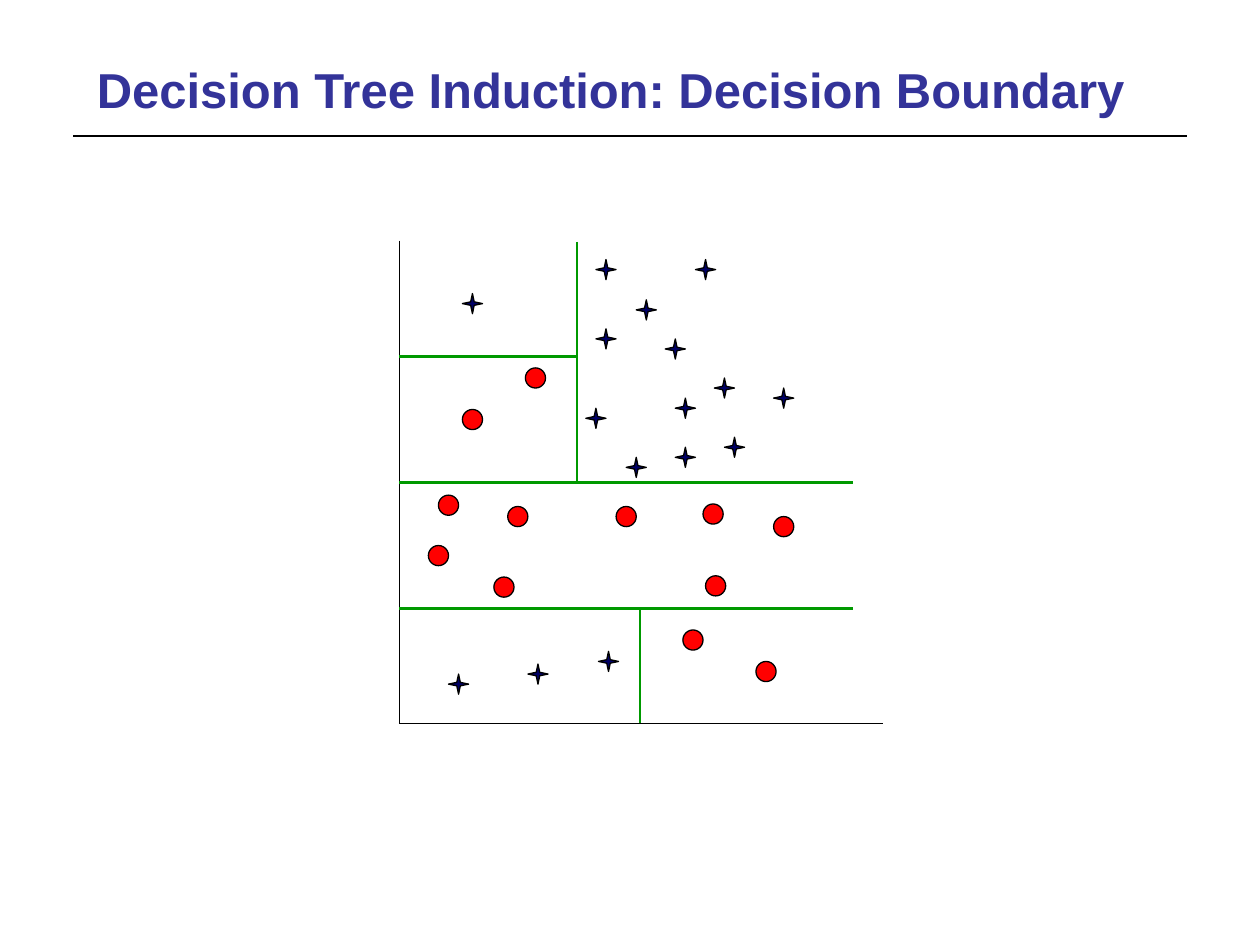
import pptx
import pptx.dml.color
import pptx.enum.shapes
import pptx.enum.text
import pptx.oxml.ns
import pptx.util
from lxml import etree
from pptx.util import Inches

COLORS = {
    "title": "333399",
    "black": "000000",
    "star": "000066",
    "circle": "FF0000",
    "boundary": "009900",
}
SHAPES = pptx.enum.shapes.MSO_SHAPE
MARKER_SIZE = 0.16

# Edges of the plot and of the regions
LEFT, RIGHT = 3.17, 6.77
TOP, BOTTOM = 1.92, 5.74
ROWS = (2.83, 3.83, 4.83)
UPPER_SPLIT, LOWER_SPLIT = 4.58, 5.08

# Top left corners of the markers
STARS = [
    (5.52, 2.06), (4.73, 2.06), (4.73, 2.61), (5.05, 2.38),
    (5.28, 2.69), (3.56, 5.35), (4.65, 3.24), (5.36, 3.16),
    (4.97, 3.63), (5.67, 3.00), (5.75, 3.47), (6.14, 3.08),
    (4.75, 5.17), (4.19, 5.27), (3.67, 2.33), (5.36, 3.55),
]
CIRCLES = [
    (3.40, 4.33), (3.48, 3.93), (4.03, 4.02), (4.17, 2.92),
    (3.92, 4.58), (5.58, 4.00), (5.60, 4.57), (6.14, 4.10),
    (5.42, 5.00), (6.00, 5.25), (4.89, 4.02), (3.67, 3.25),
]


def rgb(name):
    return pptx.dml.color.RGBColor.from_string(COLORS[name])


def add_text(slide, text, left, top, width, height, *, size, color,
             font="Arial", bold=False):
    box = slide.shapes.add_textbox(
        Inches(left), Inches(top), Inches(width), Inches(height))
    frame = box.text_frame
    frame.word_wrap = True
    frame.vertical_anchor = pptx.enum.text.MSO_ANCHOR.TOP
    paragraph = frame.paragraphs[0]
    paragraph.alignment = pptx.enum.text.PP_ALIGN.LEFT
    run = paragraph.add_run()
    run.text = text
    run.font.name = font
    run.font.size = pptx.util.Pt(size)
    run.font.bold = bold
    run.font.color.rgb = rgb(color)


def add_line(slide, start, end, color="black", width=0.75):
    line = slide.shapes.add_connector(
        pptx.enum.shapes.MSO_CONNECTOR.STRAIGHT,
        Inches(start[0]), Inches(start[1]), Inches(end[0]), Inches(end[1]))
    line.line.color.rgb = rgb(color)
    line.line.width = pptx.util.Pt(width)
    properties = line._element.spPr
    etree.SubElement(properties, pptx.oxml.ns.qn("a:effectLst"))


def add_marker(slide, kind, left, top, color):
    marker = slide.shapes.add_shape(
        kind, Inches(left), Inches(top),
        Inches(MARKER_SIZE), Inches(MARKER_SIZE))
    marker.shadow.inherit = False
    marker.fill.solid()
    marker.fill.fore_color.rgb = rgb(color)
    marker.line.color.rgb = rgb("black")
    marker.line.width = pptx.util.Pt(0.75)
    if kind == SHAPES.STAR_4_POINT:
        marker.adjustments[0] = 0.125


def main():
    presentation = pptx.Presentation()
    presentation.slide_width = Inches(10)
    presentation.slide_height = Inches(7.5)
    slide = presentation.slides.add_slide(presentation.slide_layouts[6])

    # Title and rule
    add_line(slide, (0.58, 1.08), (9.42, 1.08), width=1)
    add_text(slide, "Decision Tree Induction: Decision Boundary",
             0.67, 0.42, 8.67, 1, size=28, color="title", bold=True)

    # Axes
    add_line(slide, (LEFT, 1.91), (LEFT, BOTTOM))
    add_line(slide, (LEFT, BOTTOM), (7.01, BOTTOM))

    # Samples of the two classes
    for left, top in STARS:
        add_marker(slide, SHAPES.STAR_4_POINT, left, top, "star")
    for left, top in CIRCLES:
        add_marker(slide, SHAPES.OVAL, left, top, "circle")

    # Decision boundaries
    for row, right in zip(ROWS, (UPPER_SPLIT, RIGHT, RIGHT)):
        add_line(slide, (LEFT, row), (right, row), "boundary", 1.5)
    for split, top, bottom in ((UPPER_SPLIT, TOP, ROWS[1]),
                               (LOWER_SPLIT, ROWS[2], BOTTOM)):
        add_line(slide, (split, top), (split, bottom), "boundary", 1.5)

    presentation.save("out.pptx")


if __name__ == "__main__":
    main()
